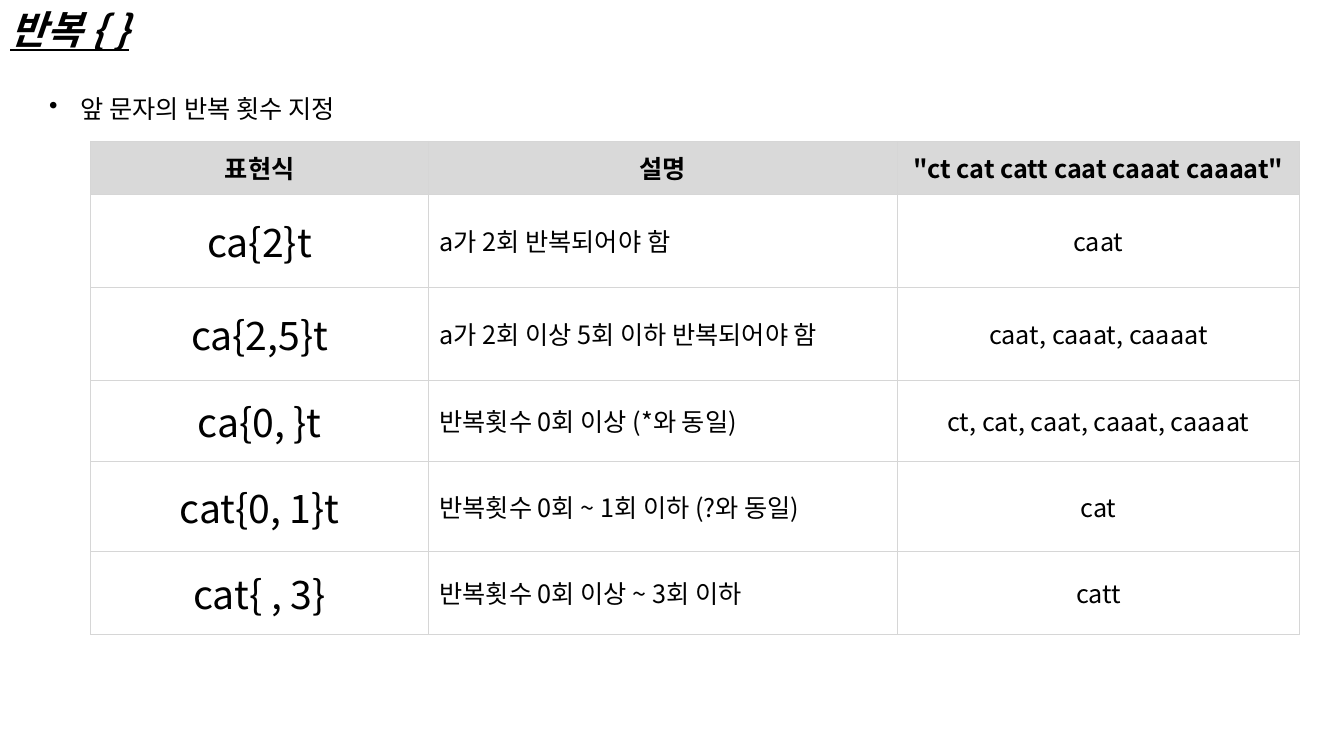
from pptx import Presentation
from pptx.dml.color import RGBColor
from pptx.enum.text import MSO_ANCHOR, MSO_AUTO_SIZE, PP_ALIGN
from pptx.oxml.ns import qn
from pptx.util import Inches, Pt
from lxml.etree import SubElement

FONT = "Noto Sans CJK JP"
BLACK, HEADER_FILL, BORDER = "000000", "D9D9D9", "D6D6D6"

TITLE = "반복 { }"
BULLET = "앞 문자의 반복 횟수 지정"
ROWS = [
    ("표현식", "설명", '"ct cat catt caat caaat caaaat"'),
    ("ca{2}t", "a가 2회 반복되어야 함", "caat"),
    ("ca{2,5}t", "a가 2회 이상 5회 이하 반복되어야 함", "caat, caaat, caaaat"),
    ("ca{0, }t", "반복횟수 0회 이상 (*와 동일)", "ct, cat, caat, caaat, caaaat"),
    ("cat{0, 1}t", "반복횟수 0회 ~ 1회 이하 (?와 동일)", "cat"),
    ("cat{ , 3}", "반복횟수 0회 이상 ~ 3회 이하", "catt"),
]
COLUMN_WIDTHS = [3.35, 4.65, 3.99]
ROW_HEIGHTS = [0.53, 0.92, 0.92, 0.81, 0.89, 0.82]


def color(value):
    return RGBColor.from_string(value)


def write(frame, text, size, bold=False, align=PP_ALIGN.LEFT):
    """Fill the frame with one paragraph and return it."""
    frame.text = text
    para = frame.paragraphs[0]
    para.alignment = align
    font = para.font
    font.name, font.size, font.bold = FONT, Pt(size), bold
    font.color.rgb = color(BLACK)
    SubElement(font._element, qn("a:ea"), typeface=FONT)
    return para


def add_borders(cell):
    properties = cell._tc.get_or_add_tcPr()
    for side in ("lnL", "lnR", "lnT", "lnB"):
        line = SubElement(properties, qn(f"a:{side}"), w=str(Pt(0.6)))
        fill = SubElement(line, qn("a:solidFill"))
        SubElement(fill, qn("a:srgbClr"), val=BORDER)


def add_title(page):
    title = page.shapes.title
    title.left, title.top = Inches(0), Inches(0)
    title.width, title.height = Inches(5.26), Inches(0.57)
    frame = title.text_frame
    frame.vertical_anchor = MSO_ANCHOR.TOP
    frame.auto_size = MSO_AUTO_SIZE.SHAPE_TO_FIT_TEXT
    font = write(frame, TITLE, 28, bold=True).font
    font.italic = font.underline = True


def add_bullet(page):
    box = page.shapes.add_textbox(Inches(0.39), Inches(0.73), Inches(3.33), Inches(0.51))
    box.text_frame.word_wrap = False
    box.text_frame.auto_size = MSO_AUTO_SIZE.SHAPE_TO_FIT_TEXT
    para = write(box.text_frame, BULLET, 18)
    para.line_spacing = 1.5
    properties = para._p.get_or_add_pPr()
    properties.set("marL", str(Inches(0.31)))
    properties.set("indent", str(-Inches(0.31)))
    bullet = properties.makeelement(qn("a:buChar"), {"char": "•"})
    properties.find(qn("a:defRPr")).addprevious(bullet)


def add_expression_table(page):
    table = page.shapes.add_table(
        len(ROWS), len(COLUMN_WIDTHS), Inches(0.9), Inches(1.4),
        Inches(sum(COLUMN_WIDTHS)), Inches(sum(ROW_HEIGHTS))).table
    table.first_row = table.horz_banding = False
    for column, width in zip(table.columns, COLUMN_WIDTHS):
        column.width = Inches(width)
    for r, (texts, height) in enumerate(zip(ROWS, ROW_HEIGHTS)):
        table.rows[r].height = Inches(height)
        header = r == 0
        for c, text in enumerate(texts):
            cell = table.cell(r, c)
            cell.vertical_anchor = MSO_ANCHOR.MIDDLE
            cell.margin_left = cell.margin_right = Inches(0.11)
            size = 28 if c == 0 and not header else 18
            align = PP_ALIGN.LEFT if c == 1 and not header else PP_ALIGN.CENTER
            write(cell.text_frame, text, size, header, align)
            add_borders(cell)
            if header:
                cell.fill.solid()
                cell.fill.fore_color.rgb = color(HEADER_FILL)
            else:
                cell.fill.background()


def main():
    deck = Presentation()
    deck.slide_width, deck.slide_height = Inches(13.33), Inches(7.5)
    page = deck.slides.add_slide(deck.slide_layouts[5])
    add_title(page)
    add_bullet(page)
    add_expression_table(page)
    deck.save("out.pptx")


if __name__ == "__main__":
    main()
